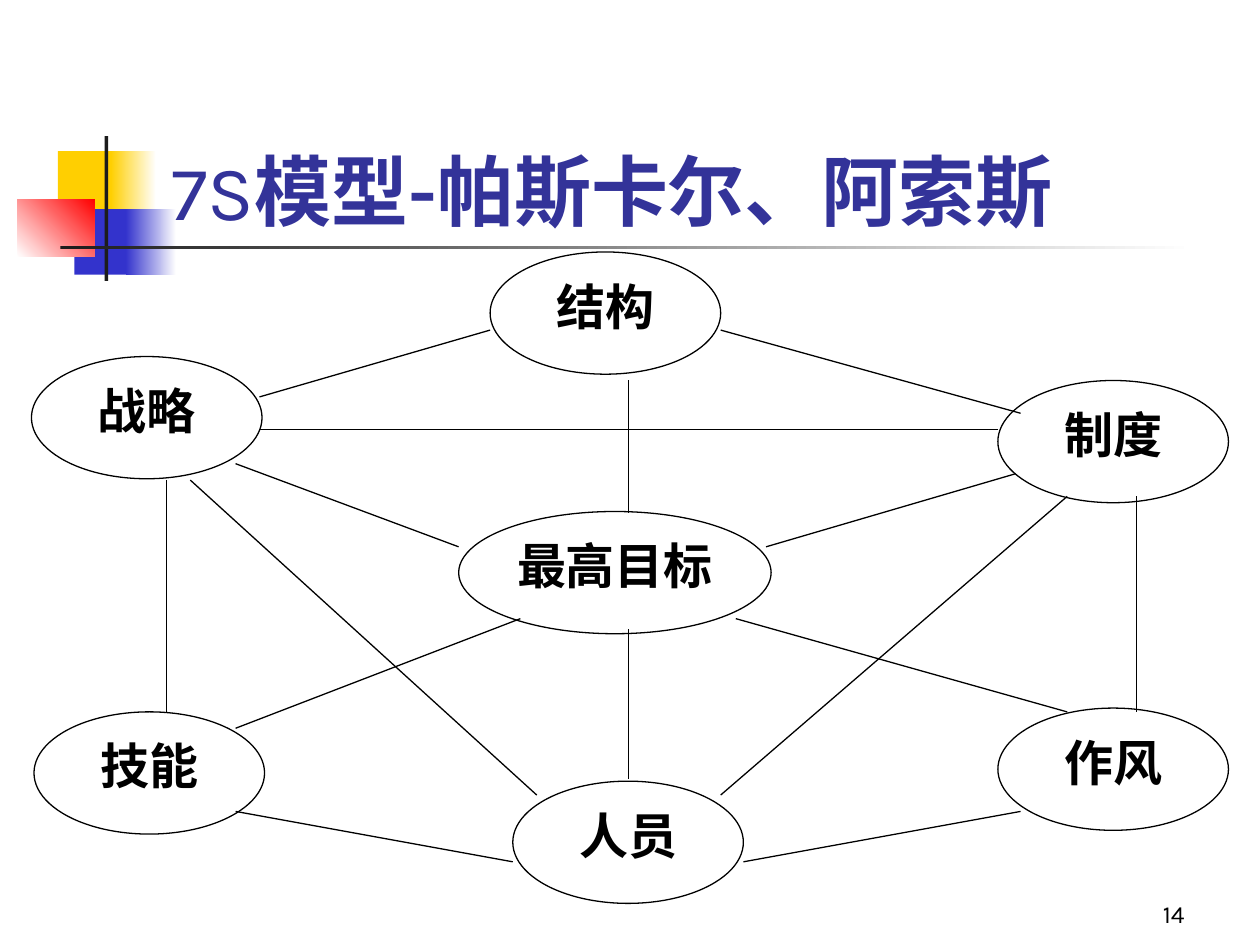
from dataclasses import dataclass
from typing import NamedTuple, Optional

from lxml import etree
from pptx import Presentation
from pptx.dml.color import RGBColor
from pptx.enum.shapes import MSO_CONNECTOR, MSO_SHAPE
from pptx.enum.text import MSO_ANCHOR, MSO_AUTO_SIZE, PP_ALIGN
from pptx.oxml.ns import qn
from pptx.util import Inches, Pt


@dataclass(frozen=True)
class Theme:
    yellow: str = "FFCF01"
    blue: str = "3333CC"
    red: str = "FF0000"
    dark: str = "1C1C1C"
    white: str = "FFFFFF"
    black: str = "000000"
    title: str = "333399"
    latin_font: str = "Karla"
    node_font: str = "Times New Roman"
    title_size: int = 44
    node_size: int = 28
    number_size: int = 14
    line_width: float = 0.75


class Block(NamedTuple):
    left: float
    top: float
    width: float
    height: float
    color: str
    fade_to: Optional[str] = None
    angle: float = 0  # counter-clockwise


class Node(NamedTuple):
    label: str
    left: float
    top: float
    width: float = 1.83


class Link(NamedTuple):
    x1: float
    y1: float
    x2: float
    y2: float


THEME = Theme()
NODE_HEIGHT = 0.97

ORNAMENT = [
    Block(0.46, 1.2, 0.48, 0.52, THEME.yellow),
    Block(0.88, 1.2, 0.36, 0.52, THEME.yellow, THEME.white),
    Block(0.59, 1.66, 0.46, 0.52, THEME.blue),
    Block(1, 1.66, 0.4, 0.52, THEME.blue, THEME.white),
    Block(0.14, 1.58, 0.61, 0.46, THEME.white, THEME.red, 45),
    Block(0.83, 1.08, 0.03, 1.15, THEME.dark),
    Block(0.48, 1.95, 9, 0.03, THEME.dark, THEME.white),
]

NODES = [
    Node("结构", 3.89, 2),
    Node("人员", 4.07, 6.2),
    Node("作风", 7.92, 5.62),
    Node("技能", 0.27, 5.65),
    Node("最高目标", 3.64, 4.06, 2.48),
    Node("制度", 7.92, 3.02),
    Node("战略", 0.25, 2.83),
]

LINKS = [
    # Spokes from the central goal
    Link(1.87, 3.68, 3.64, 4.34),
    Link(6.08, 4.34, 8.06, 3.76),
    Link(1.87, 5.78, 4.13, 4.91),
    Link(4.99, 6.18, 4.99, 4.99),
    Link(8.47, 5.65, 5.84, 4.91),
    Link(4.99, 3.02, 4.99, 4.07),
    # Outer ring
    Link(2.06, 3.15, 3.89, 2.62),
    Link(5.72, 2.62, 8.1, 3.28),
    Link(1.32, 3.81, 1.32, 5.65),
    Link(1.87, 6.44, 4.07, 6.84),
    Link(5.9, 6.84, 8.1, 6.44),
    Link(9.02, 3.94, 9.02, 5.65),
    # Cross links
    Link(1.51, 3.81, 4.26, 6.31),
    Link(5.72, 6.31, 8.47, 3.94),
    Link(2.06, 3.41, 7.92, 3.41),
]


def rgb(color: str) -> RGBColor:
    return RGBColor.from_string(color)


def add_text(paragraph, text: str, *, font: str, size: float, color: str,
             bold: bool = False, align=PP_ALIGN.LEFT) -> None:
    paragraph.alignment = align
    run = paragraph.add_run()
    run.text = text
    run.font.name = font
    run.font.size = Pt(size)
    run.font.bold = bold
    run.font.color.rgb = rgb(color)


def draw_block(slide, block: Block) -> None:
    shape = slide.shapes.add_shape(
        MSO_SHAPE.RECTANGLE, Inches(block.left), Inches(block.top),
        Inches(block.width), Inches(block.height))
    shape.shadow.inherit = False
    shape.line.fill.background()
    if block.fade_to is None:
        shape.fill.solid()
        shape.fill.fore_color.rgb = rgb(block.color)
        return
    shape.fill.gradient()
    shape.fill.gradient_angle = block.angle
    for stop, color, position in zip(
            shape.fill.gradient_stops, (block.color, block.fade_to), (0, 1)):
        stop.color.rgb = rgb(color)
        stop.position = position


def draw_node(slide, node: Node) -> None:
    oval = slide.shapes.add_shape(
        MSO_SHAPE.OVAL, Inches(node.left), Inches(node.top),
        Inches(node.width), Inches(NODE_HEIGHT))
    oval.shadow.inherit = False
    oval.fill.solid()
    oval.fill.fore_color.rgb = rgb(THEME.white)
    oval.line.color.rgb = rgb(THEME.black)
    oval.line.width = Pt(THEME.line_width)
    oval.text_frame.vertical_anchor = MSO_ANCHOR.TOP
    add_text(oval.text_frame.paragraphs[0], node.label, font=THEME.node_font,
             size=THEME.node_size, color=THEME.black, bold=True,
             align=PP_ALIGN.CENTER)


def draw_link(slide, link: Link) -> None:
    connector = slide.shapes.add_connector(
        MSO_CONNECTOR.STRAIGHT, *(Inches(value) for value in link))
    connector.line.color.rgb = rgb(THEME.black)
    connector.line.width = Pt(THEME.line_width)
    etree.SubElement(connector._element.spPr, qn("a:effectLst"))


def draw_title(slide) -> None:
    title = slide.shapes.title
    title.left, title.top = Inches(1.26), Inches(0.67)
    title.width, title.height = Inches(8.52), Inches(1.25)
    slide.shapes._spTree.append(title._element)  # in front of the ornament
    frame = title.text_frame
    frame.auto_size = MSO_AUTO_SIZE.NONE
    frame.vertical_anchor = MSO_ANCHOR.BOTTOM
    for text, bold in (("7S", False), ("模型-帕斯卡尔、阿索斯", True)):
        add_text(frame.paragraphs[0], text, font=THEME.latin_font,
                 size=THEME.title_size, color=THEME.title, bold=bold)


def draw_page_number(slide) -> None:
    number = slide.shapes.add_textbox(
        Inches(7.42), Inches(6.92), Inches(2.08), Inches(0.5))
    number.text_frame.word_wrap = True
    number.text_frame.vertical_anchor = MSO_ANCHOR.BOTTOM
    add_text(number.text_frame.paragraphs[0], "14", font=THEME.latin_font,
             size=THEME.number_size, color=THEME.black, align=PP_ALIGN.RIGHT)


def main() -> None:
    deck = Presentation()
    deck.slide_width, deck.slide_height = Inches(10), Inches(7.5)
    slide = deck.slides.add_slide(deck.slide_layouts.get_by_name("Title Only"))

    # Heading with its ornament
    for block in ORNAMENT:
        draw_block(slide, block)
    draw_page_number(slide)
    draw_title(slide)

    # 7S network
    for node in NODES:
        draw_node(slide, node)
    for link in LINKS:
        draw_link(slide, link)

    deck.save("out.pptx")


if __name__ == "__main__":
    main()
